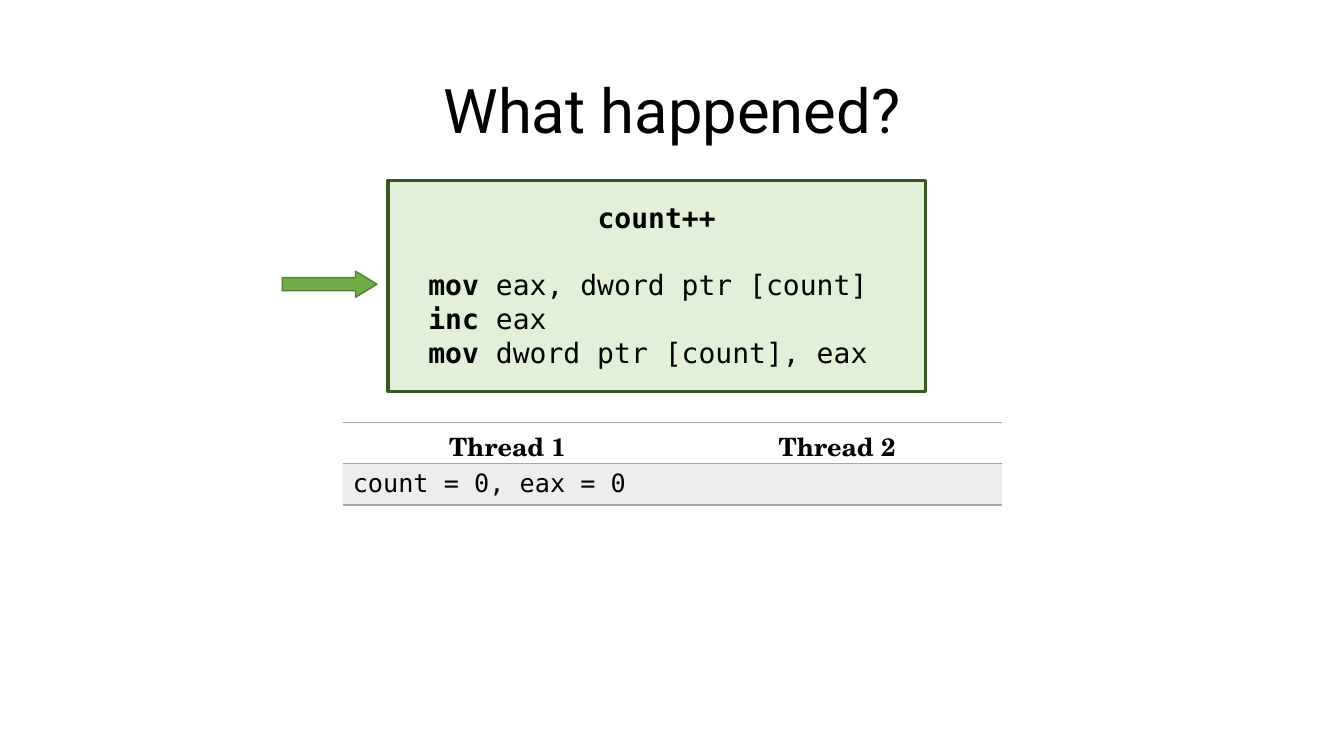
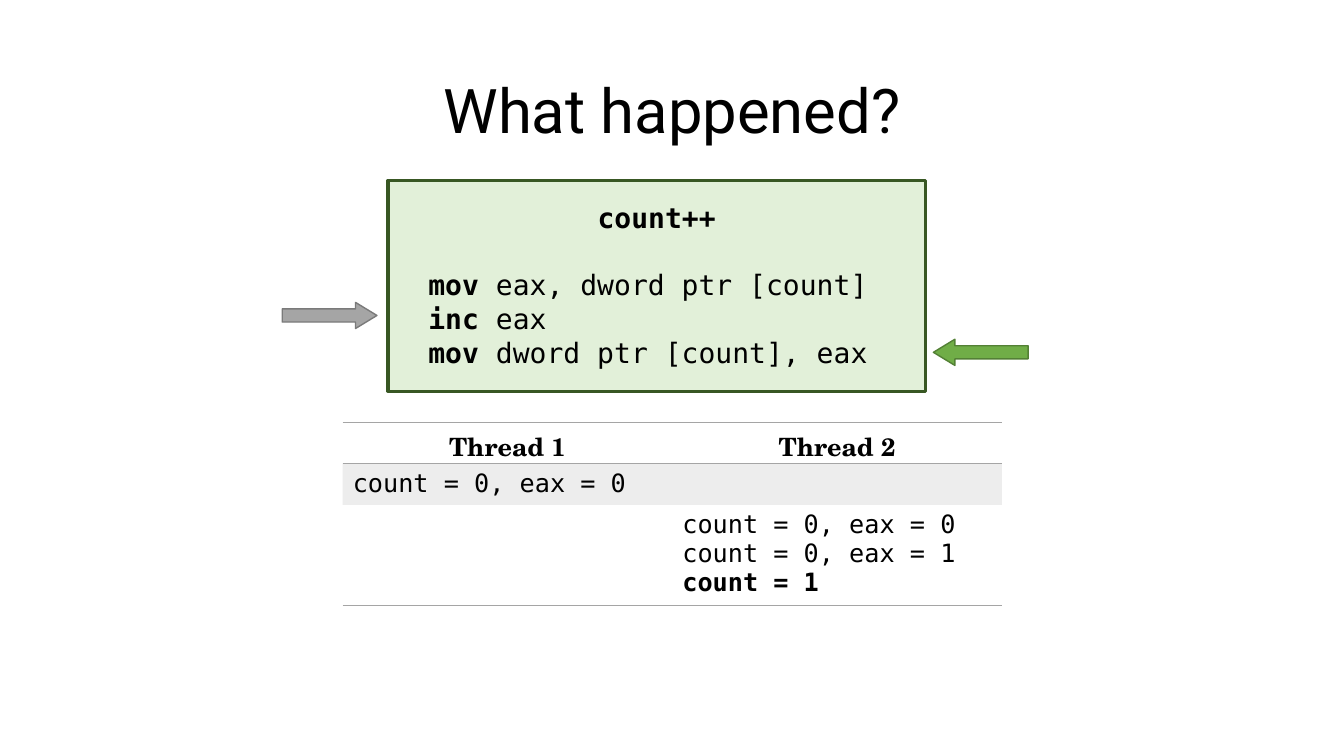
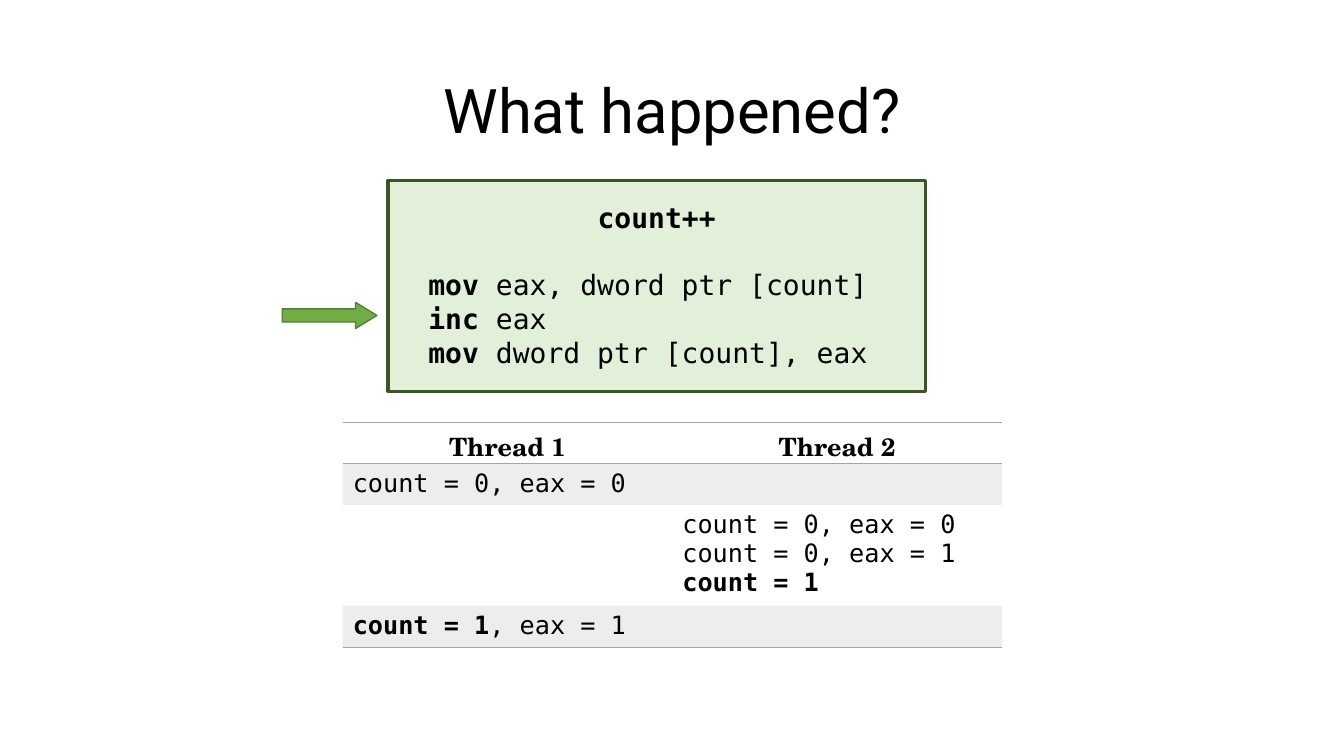
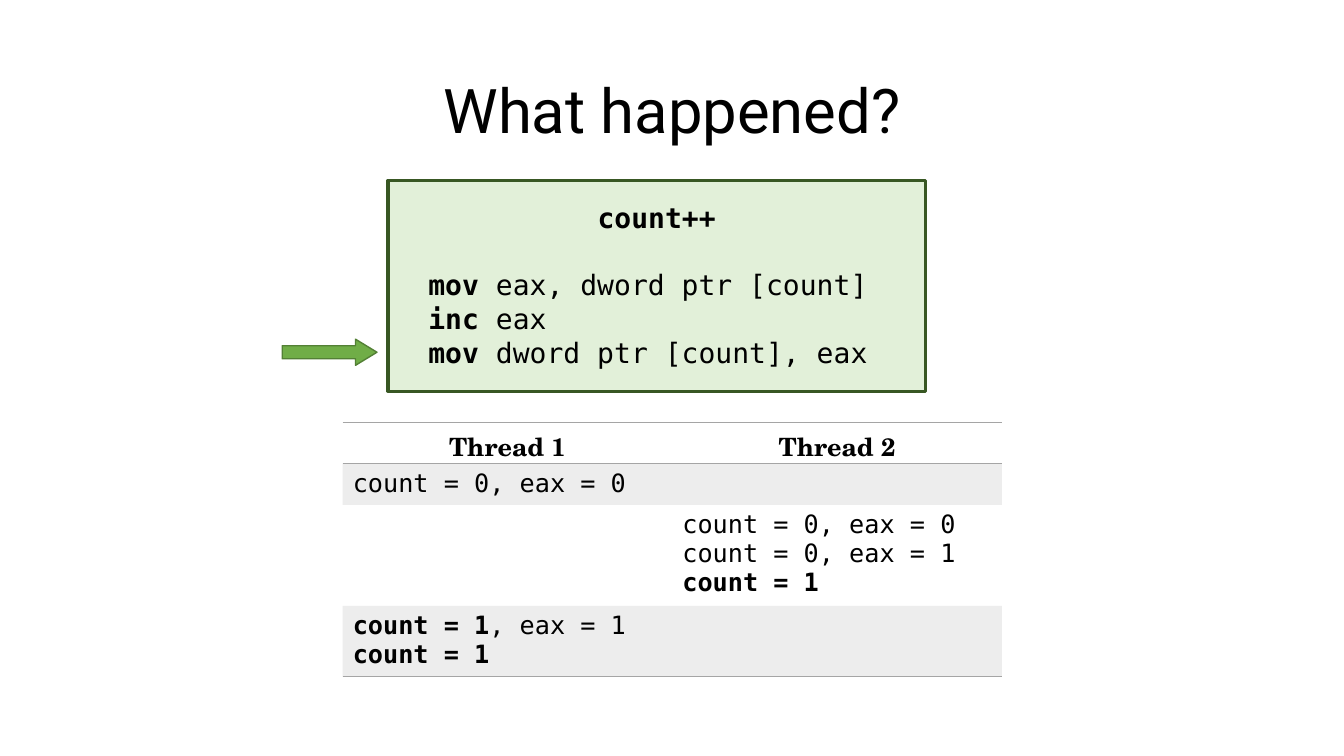
from dataclasses import dataclass

from lxml.etree import SubElement
from pptx import Presentation
from pptx.dml.color import RGBColor as Rgb
from pptx.enum.shapes import MSO_SHAPE as Shape
from pptx.enum.text import MSO_ANCHOR as Anchor, PP_ALIGN as Align
from pptx.oxml.ns import qn
from pptx.util import Pt


@dataclass(frozen=True)
class Theme:
    """Colours, fonts and sizes shared by the slides."""
    ink: str = "000000"
    grey: str = "A5A5A5"
    grey_edge: str = "7A7A7A"
    green: str = "70AD47"
    green_edge: str = "538035"
    code_fill: str = "E2F0D9"
    code_edge: str = "385723"
    title_font: str = "Roboto"
    head_font: str = "TeX Gyre Schola"
    mono_font: str = "DejaVu Sans Mono"
    title_size: float = 44
    code_size: float = 20
    table_size: float = 18
    band_alpha: int = 20000
    plain_table: str = "{2D5ABB26-0587-4C30-8999-92F81FD0307C}"


THEME = Theme()
TITLE = "What happened?"
OPERATION = ("count++", "")
INSTRUCTIONS = [
    ("mov ", "eax, dword ptr [count]"),
    ("inc ", "eax"),
    ("mov ", "dword ptr [count], eax"),
]
ARROW_TOPS = [193.68, 216, 242.28]
LEFT, RIGHT = 201.6, 666.72
ROW_HEIGHT, EXTRA_LINE = 29.52, 21

HEADER = [[("Thread 1", "")], [("Thread 2", "")]]
LOADED = ("", "count = 0, eax = 0")
STORED = ("count = 1", "")
FIRST_LOAD = [[LOADED], []]
OTHER_THREAD = [[], [LOADED, ("", "count = 0, eax = 1"), STORED]]
INCREMENTED = ("count = 1", ", eax = 1")

STEPS = [
    ([FIRST_LOAD], [(0, LEFT, True)]),
    ([FIRST_LOAD, OTHER_THREAD], [(1, LEFT, False), (2, RIGHT, True)]),
    ([FIRST_LOAD, OTHER_THREAD, [[INCREMENTED], []]], [(1, LEFT, True)]),
    ([FIRST_LOAD, OTHER_THREAD, [[INCREMENTED, STORED], []]],
     [(2, LEFT, True)]),
]


def write_lines(frame, lines, font, size, align=Align.LEFT):
    """Write each line as a bold part followed by a regular part."""
    for index, parts in enumerate(lines):
        paragraph = frame.add_paragraph() if index else frame.paragraphs[0]
        paragraph.alignment = align
        paragraph.font.name = font
        paragraph.font.size = Pt(size)
        paragraph.font.color.rgb = Rgb.from_string(THEME.ink)
        for text, bold in zip(parts, (True, False)):
            if text:
                run = paragraph.add_run()
                run.text = text
                run.font.bold = bold


def add_block(slide, kind, box, fill, edge, width):
    """Add a filled and outlined preset shape."""
    block = slide.shapes.add_shape(kind, *map(Pt, box))
    block.shadow.inherit = False
    block.fill.solid()
    block.fill.fore_color.rgb = Rgb.from_string(fill)
    block.line.color.rgb = Rgb.from_string(edge)
    block.line.width = Pt(width)
    return block


def add_title(slide):
    """Add the centred slide title."""
    title = slide.shapes.add_textbox(Pt(66.24), Pt(28.8), Pt(828), Pt(104.4))
    frame = title.text_frame
    frame.word_wrap = True
    frame.vertical_anchor = Anchor.MIDDLE
    write_lines(frame, [("", TITLE)], THEME.title_font, THEME.title_size,
                Align.CENTER)
    frame.paragraphs[0].line_spacing = 0.9


def add_code(slide):
    """Add the box with the operation and its machine instructions."""
    code = add_block(slide, Shape.RECTANGLE, (277.2, 128.88, 383.76, 150.48),
                     THEME.code_fill, THEME.code_edge, 2.25)
    frame = code.text_frame
    frame.word_wrap = True
    frame.vertical_anchor = Anchor.TOP
    frame.margin_left = frame.margin_right = Pt(28.8)
    frame.margin_top = frame.margin_bottom = Pt(14.4)
    write_lines(frame, [OPERATION, *INSTRUCTIONS], THEME.mono_font,
                THEME.code_size)
    operation = frame.paragraphs[0]
    operation.alignment = Align.CENTER
    operation.space_after = Pt(24)


def add_pointer(slide, instruction, left, running):
    """Point at an instruction, in green while its thread is running."""
    fill, edge = ((THEME.green, THEME.green_edge) if running
                  else (THEME.grey, THEME.grey_edge))
    box = (left, ARROW_TOPS[instruction], 67.68, 18.72)
    pointer = add_block(slide, Shape.RIGHT_ARROW, box, fill, edge, 1)
    pointer.adjustments[0] = 0.5
    pointer.adjustments[1] = 0.82
    pointer.rotation = 180 if left == RIGHT else 0


def rule_cell(cell, side):
    """Draw a thin grey border on one side of a cell."""
    border = SubElement(cell._tc.get_or_add_tcPr(), qn(f"a:{side}"),
                        w=str(Pt(1)))
    paint = SubElement(border, qn("a:solidFill"))
    SubElement(paint, qn("a:srgbClr"), val=THEME.grey)


def band_cell(cell):
    """Fill a cell with translucent grey."""
    cell.fill.solid()
    cell.fill.fore_color.rgb = Rgb.from_string(THEME.grey)
    for colour in cell._tc.tcPr.iterfind(
            f"{qn('a:solidFill')}/{qn('a:srgbClr')}"):
        SubElement(colour, qn("a:alpha"), val=str(THEME.band_alpha))


def add_trace(slide, states):
    """Add the table of the values that each thread sees."""
    rows = [HEADER, *states]
    heights = [ROW_HEIGHT + EXTRA_LINE * (max(map(len, row)) - 1)
               for row in rows]
    trace = slide.shapes.add_table(len(rows), 2, Pt(244.8), Pt(301.68),
                                   Pt(470.88), Pt(sum(heights))).table
    trace.first_row = trace.horz_banding = False
    trace._tbl.tblPr.find(qn("a:tableStyleId")).text = THEME.plain_table
    for r, (row, height) in enumerate(zip(rows, heights)):
        trace.rows[r].height = Pt(height)
        for c, lines in enumerate(row):
            cell = trace.cell(r, c)
            font, align = ((THEME.mono_font, Align.LEFT) if r
                           else (THEME.head_font, Align.CENTER))
            write_lines(cell.text_frame, lines or [("", "")], font,
                        THEME.table_size, align)
            if r == 0:
                rule_cell(cell, "lnT")
            if r in (0, len(rows) - 1):
                rule_cell(cell, "lnB")
            if r % 2:
                band_cell(cell)
            else:
                cell.fill.background()


def main():
    """Build one slide for each step of the race."""
    deck = Presentation()
    deck.slide_width, deck.slide_height = Pt(960), Pt(540)
    for states, pointers in STEPS:
        slide = deck.slides.add_slide(deck.slide_layouts[6])
        add_title(slide)
        add_code(slide)
        add_trace(slide, states)
        for pointer in pointers:
            add_pointer(slide, *pointer)
    deck.save("out.pptx")


if __name__ == "__main__":
    main()
